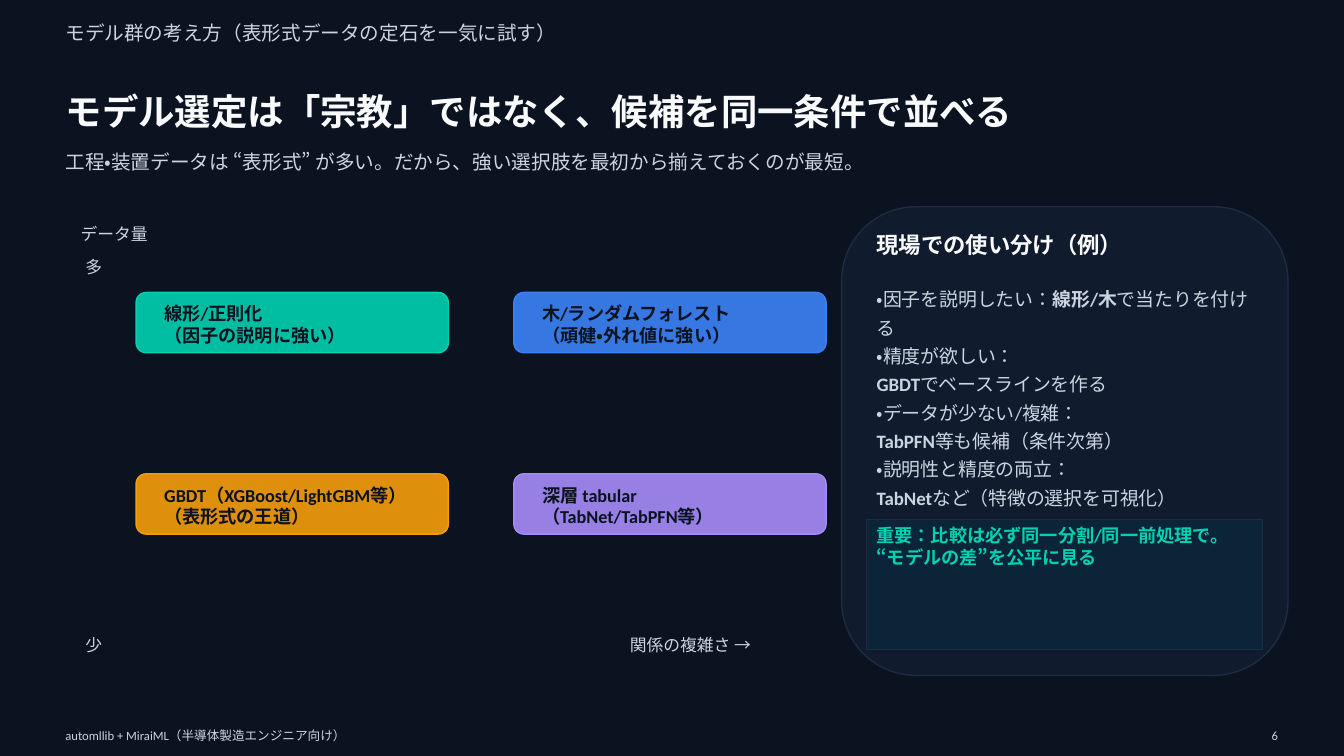
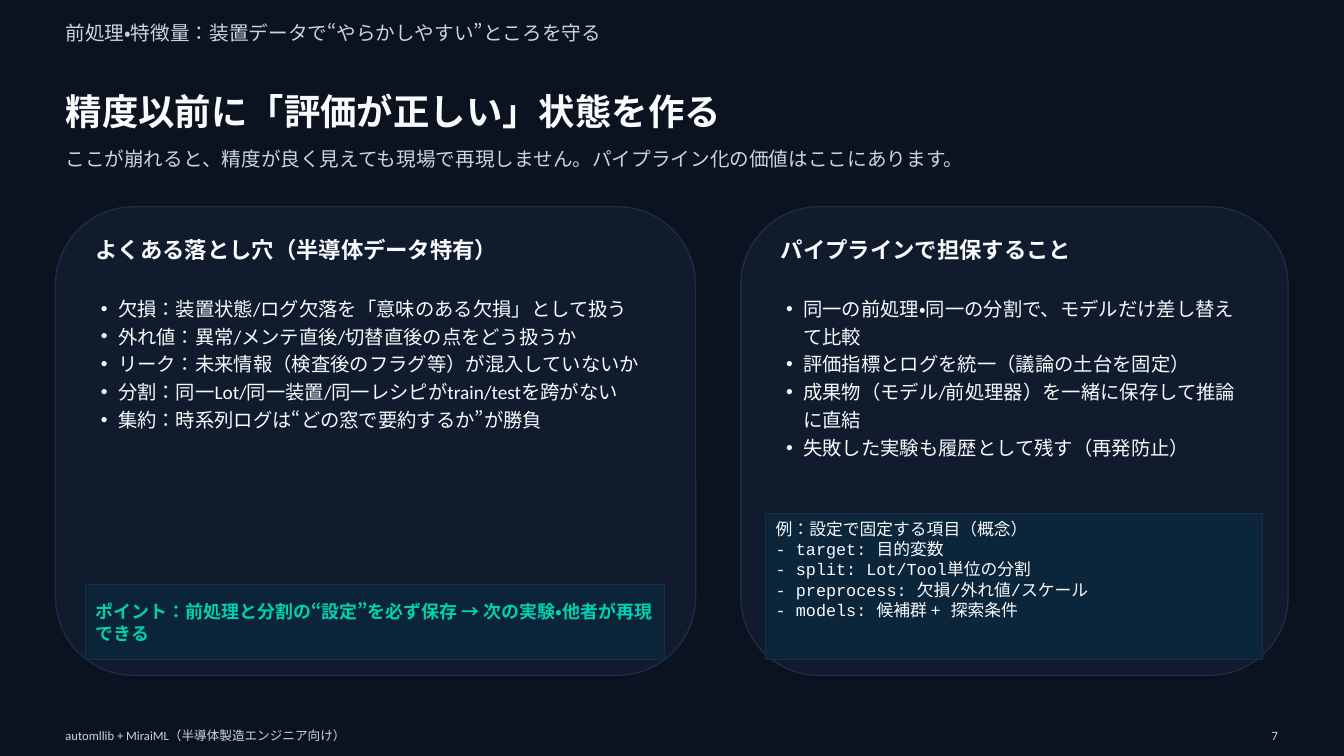
from dataclasses import dataclass

from lxml.etree import SubElement
from pptx import Presentation
from pptx.dml.color import RGBColor
from pptx.enum.lang import MSO_LANGUAGE_ID
from pptx.enum.shapes import MSO_SHAPE
from pptx.enum.text import MSO_ANCHOR, MSO_AUTO_SIZE, PP_ALIGN
from pptx.oxml.ns import qn
from pptx.util import Cm, Pt

# Shared colours and measures (cm)
DARK, PANEL, NOTE, EDGE = "0B1220", "111B2E", "0B253A", "1F2A44"
WHITE, GREY, TEAL = "F8FAFC", "CBD5E1", "00D1B2"
WIDE, HIGH = 33.87, 19.05
LEFT, SPAN = 1.4, 31.06
TOP, TALL = 5.21, 11.81
ROW = 0.89
FOOT = "automllib + MiraiML（半導体製造エンジニア向け）"


@dataclass(frozen=True)
class Box:
    x: float
    y: float
    w: float
    h: float


@dataclass(frozen=True)
class Style:
    size: float
    color: str = GREY
    bold: bool = False
    font: str = "Calibri"
    align: PP_ALIGN = PP_ALIGN.LEFT
    anchor: MSO_ANCHOR = MSO_ANCHOR.MIDDLE
    lead: float = 1.0


@dataclass(frozen=True)
class Chip:
    color: str
    text: str


@dataclass(frozen=True)
class Card:
    x: float
    w: float
    head: str
    items: str
    depth: float
    note: str
    spot: Box
    style: Style
    alpha: int


LEAD = Style(14)
TITLE = Style(26, WHITE, True)
HEAD = Style(16, WHITE, True)
AXIS = Style(12)
SMALL = Style(9)
LABEL = Style(13, DARK, True)
USES = Style(13.5, anchor=MSO_ANCHOR.TOP, lead=1.25)
LIST = Style(13.8, WHITE, anchor=MSO_ANCHOR.TOP, lead=1.2)


def rgb(color: str) -> RGBColor:
    return RGBColor.from_string(color)


def write(shape, text: str, style: Style) -> None:
    """Fill a shape with lines of text; *stars* mark bold parts."""
    frame = shape.text_frame
    frame.text = text
    frame.word_wrap = True
    frame.auto_size = MSO_AUTO_SIZE.NONE
    frame.vertical_anchor = style.anchor
    for para in frame.paragraphs:
        parts = para.text.split("*")
        para.text = ""
        para.alignment = style.align
        para.line_spacing = style.lead
        para.space_before = Pt(0)
        for i, part in enumerate(parts):
            if not part:
                continue
            run = para.add_run()
            run.text = part
            font = run.font
            font.name, font.size = style.font, Pt(style.size)
            font.bold = style.bold or i % 2 == 1
            font.color.rgb = rgb(style.color)
            font.language_id = MSO_LANGUAGE_ID.JAPANESE


def label(slide, box: Box, text: str, style: Style) -> None:
    shape = slide.shapes.add_textbox(Cm(box.x), Cm(box.y), Cm(box.w), Cm(box.h))
    write(shape, text, style)


def block(slide, box: Box, fill: str, line: str, kind=MSO_SHAPE.RECTANGLE,
          width: float = 1, alpha: int = 100):
    shape = slide.shapes.add_shape(kind, Cm(box.x), Cm(box.y), Cm(box.w), Cm(box.h))
    shape.shadow.inherit = False
    shape.fill.solid()
    shape.fill.fore_color.rgb = rgb(fill)
    if alpha < 100:
        tint = shape._element.spPr.find(".//" + qn("a:srgbClr"))
        SubElement(tint, qn("a:alpha")).set("val", str(alpha * 1000))
    shape.line.color.rgb = rgb(line)
    shape.line.width = Pt(width)
    return shape


def panel(slide, x: float, w: float) -> None:
    block(slide, Box(x, TOP, w, TALL), PANEL, EDGE, MSO_SHAPE.ROUNDED_RECTANGLE)


def note(slide, box: Box, text: str, style: Style, alpha: int) -> None:
    write(block(slide, box, NOTE, EDGE, width=0.75, alpha=alpha), text, style)


def place(slide, shape, box: Box, text: str, style: Style) -> None:
    """Move a placeholder in front of what is drawn so far and fill it."""
    shape.left, shape.top = Cm(box.x), Cm(box.y)
    shape.width, shape.height = Cm(box.w), Cm(box.h)
    slide.shapes._spTree.append(shape._element)
    write(shape, text, style)


def bullet(shape, mark: str, inset: float) -> None:
    """Set the bullet sign, or none, and its hanging indent."""
    for para in shape.text_frame.paragraphs:
        props = para._p.get_or_add_pPr()
        props.set("marL", str(Cm(inset)))
        props.set("indent", str(-Cm(inset)))
        if mark:
            SubElement(props, qn("a:buChar")).set("char", mark)
        else:
            SubElement(props, qn("a:buNone"))


def base(deck, layout: int, page: int, topic: str, title: str, lead: str,
         depth: float):
    """Start a slide with its bands, title lines and footer."""
    slide = deck.slides.add_slide(deck.slide_layouts[layout])
    for y, h in ((0, 1.57), (17.91, 1.14)):
        block(slide, Box(0, y, WIDE, h), DARK, DARK)
    label(slide, Box(LEFT, 0.38, SPAN, ROW), topic, LEAD)
    place(slide, slide.shapes.title, Box(LEFT, 2.16, SPAN, 1.27), title, TITLE)
    label(slide, Box(LEFT, 3.43, SPAN, depth), lead, LEAD)
    label(slide, Box(LEFT, 18.21, 28.52, 0.64), FOOT, SMALL)
    label(slide, Box(31.7, 18.21, 0.76, 0.64), str(page),
          Style(9, align=PP_ALIGN.RIGHT))
    return slide


def models(deck) -> None:
    slide = base(deck, 1, 6, "モデル群の考え方（表形式データの定石を一気に試す）",
                 "モデル選定は「宗教」ではなく、候補を同一条件で並べる",
                 "工程・装置データは “表形式” が多い。だから、強い選択肢を最初から揃えておくのが最短。",
                 1.27)
    # Axis labels
    label(slide, Box(1.78, 5.51, 3.05, 0.76), "データ量", AXIS)
    for y, text in ((15.88, "少"), (6.35, "多")):
        label(slide, Box(1.9, y, 1.52, 0.76), text, AXIS)
    label(slide, Box(14.1, 15.88, 5.08, 0.76), "関係の複雑さ →",
          Style(12, align=PP_ALIGN.RIGHT))

    # Two by two model map
    chips = (
        Chip(TEAL, "線形/正則化\n（因子の説明に強い）"),
        Chip("3B82F6", "木/ランダムフォレスト\n（頑健・外れ値に強い）"),
        Chip("F59E0B", "GBDT（XGBoost/LightGBM等）\n（表形式の王道）"),
        Chip("A78BFA", "深層 tabular\n（TabNet/TabPFN等）"),
    )
    for i, chip in enumerate(chips):
        row, col = divmod(i, 2)
        x, y = 3.43 + col * 9.52, 7.37 + row * 4.57
        block(slide, Box(x, y, 7.87, 1.52), chip.color, chip.color,
              MSO_SHAPE.ROUNDED_RECTANGLE, alpha=90)
        label(slide, Box(x + 0.46, y + 0.36, 7.11, ROW), chip.text, LABEL)

    # Usage panel
    x, w = 21.84, 9.98
    panel(slide, 21.21, 11.25)
    label(slide, Box(x, 5.72, w, ROW), "現場での使い分け（例）", HEAD)
    body = slide.placeholders[1]
    place(slide, body, Box(x, 6.99, w, 5.59),
          "・因子を説明したい：*線形/木*で当たりを付ける\n"
          "・精度が欲しい：\n*GBDT*でベースラインを作る\n"
          "・データが少ない/複雑：\n*TabPFN*等も候補（条件次第）\n"
          "・説明性と精度の両立：\n*TabNet*など（特徴の選択を可視化）", USES)
    bullet(body, "", 0)
    note(slide, Box(x, 13.08, w, 3.3),
         "重要：比較は必ず同一分割/同一前処理で。\n“モデルの差”を公平に見る",
         Style(13, TEAL, True, anchor=MSO_ANCHOR.TOP), 90)


def checks(deck) -> None:
    slide = base(deck, 3, 7, "前処理・特徴量：装置データで“やらかしやすい”ところを守る",
                 "精度以前に「評価が正しい」状態を作る",
                 "ここが崩れると、精度が良く見えても現場で再現しません。パイプライン化の価値はここにあります。",
                 1.14)
    cards = (
        Card(LEFT, 16.13, "よくある落とし穴（半導体データ特有）",
             "欠損：装置状態/ログ欠落を「意味のある欠損」として扱う\n"
             "外れ値：異常/メンテ直後/切替直後の点をどう扱うか\n"
             "リーク：未来情報（検査後のフラグ等）が混入していないか\n"
             "分割：同一Lot/同一装置/同一レシピがtrain/testを跨がない\n"
             "集約：時系列ログは“どの窓で要約するか”が勝負", 4.42,
             "ポイント：前処理と分割の“設定”を必ず保存 → 次の実験・他者が再現できる",
             Box(2.16, 14.73, 14.6, 1.9), Style(12.8, TEAL, True), 90),
        Card(18.67, 13.79, "パイプラインで担保すること",
             "同一の前処理・同一の分割で、モデルだけ差し替えて比較\n"
             "評価指標とログを統一（議論の土台を固定）\n"
             "成果物（モデル/前処理器）を一緒に保存して推論に直結\n"
             "失敗した実験も履歴として残す（再発防止）", 3.81,
             "例：設定で固定する項目（概念）\n- target: 目的変数\n"
             "- split: Lot/Tool単位の分割\n- preprocess: 欠損/外れ値/スケール\n"
             "- models: 候補群 + 探索条件",
             Box(19.3, 12.95, 12.52, 3.68),
             Style(12, WHITE, font="Courier New", anchor=MSO_ANCHOR.TOP), 100),
    )
    # Panel, heading, list and note of each card
    for i, card in enumerate(cards, 1):
        panel(slide, card.x, card.w)
        label(slide, Box(card.x + 0.76, 5.84, card.w - 1.52, ROW), card.head, HEAD)
        body = slide.placeholders[i]
        place(slide, body, Box(card.x + 0.89, 7.24, card.w - 1.78, card.depth),
              card.items, LIST)
        bullet(body, "•", 0.43)
        note(slide, card.spot, card.note, card.style, card.alpha)


def main() -> None:
    deck = Presentation()
    deck.slide_width, deck.slide_height = Cm(WIDE), Cm(HIGH)
    back = deck.slide_master.background.fill
    back.solid()
    back.fore_color.rgb = rgb(DARK)
    models(deck)
    checks(deck)
    deck.save("out.pptx")


if __name__ == "__main__":
    main()
